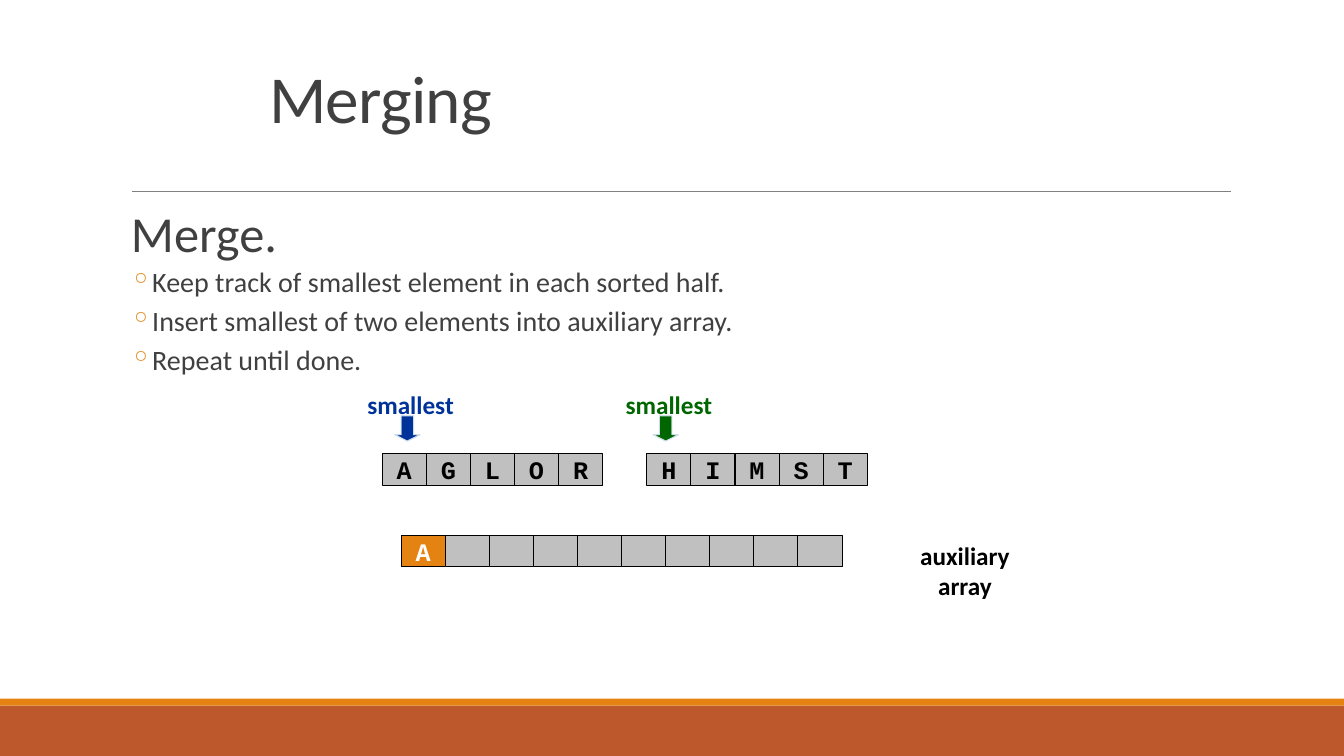
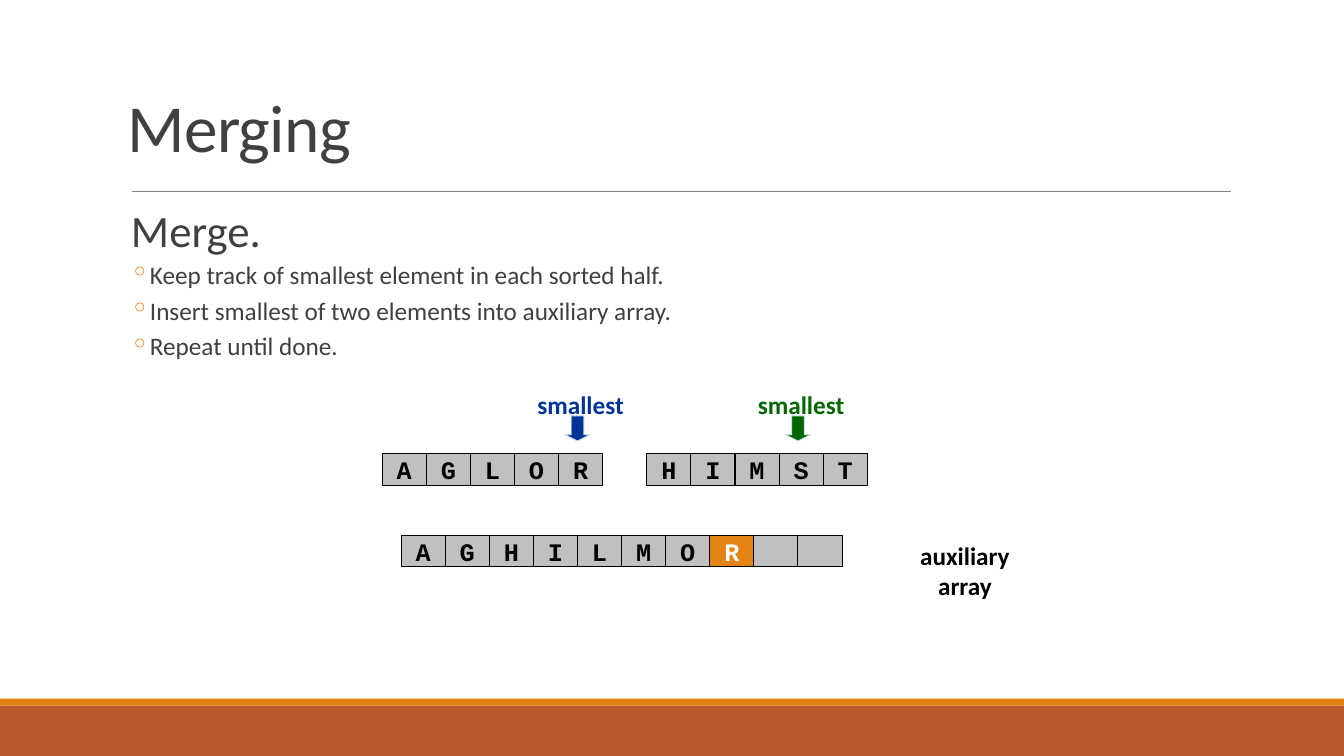
from dataclasses import dataclass

from lxml.etree import SubElement
from pptx import Presentation
from pptx.dml.color import RGBColor
from pptx.enum.shapes import MSO_CONNECTOR, MSO_SHAPE
from pptx.enum.text import MSO_ANCHOR, MSO_AUTO_SIZE, PP_ALIGN
from pptx.oxml.ns import qn
from pptx.util import Pt


@dataclass(frozen=True)
class Theme:
    text: str = "404040"
    black: str = "000000"
    white: str = "FFFFFF"
    accent: str = "E48312"
    band: str = "BD582C"
    rule: str = "808080"
    cell: str = "C0C0C0"
    arrow_edge: str = "CCDDEA"
    left: str = "003399"
    right: str = "006600"
    font: str = "Calibri"
    mono: str = "Courier New"
    title_size: int = 48
    label_size: int = 18


THEME = Theme()
CELL_W, CELL_H = 31.5, 22.5
STEPS = [
    "Keep track of smallest element in each sorted half.",
    "Insert smallest of two elements into auxiliary array.",
    "Repeat until done.",
]


def rgb(value):
    return RGBColor.from_string(value)


def write(p, text, size=THEME.label_size, color=THEME.text, font=THEME.font,
          bold=False, align=PP_ALIGN.LEFT, line=1.0, before=0, after=0,
          margin=0, hanging=0, bullet=None, spacing=0):
    p.alignment = align
    p.line_spacing = line
    p.space_before, p.space_after = Pt(before), Pt(after)
    pPr = p._p.get_or_add_pPr()
    pPr.set("marL", str(Pt(margin)))
    pPr.set("indent", str(-Pt(hanging)))
    if bullet:
        color_el = SubElement(pPr, qn("a:buClr"))
        SubElement(color_el, qn("a:srgbClr"), val=THEME.accent)
        SubElement(pPr, qn("a:buChar"), char=bullet)
    r = p.add_run()
    r.text = text
    r.font.name, r.font.size, r.font.bold = font, Pt(size), bold
    r.font.color.rgb = rgb(color)
    if spacing:
        r._r.get_or_add_rPr().set("spc", str(int(spacing * 100)))


class Deck:
    def __init__(self, theme):
        self.theme = theme
        self.prs = Presentation()
        self.prs.slide_width, self.prs.slide_height = Pt(960), Pt(540)
        self.s = None

    def slide(self, title, x, y):
        t = self.theme
        self.s = self.prs.slides.add_slide(self.prs.slide_layouts[5])
        self.shape(MSO_SHAPE.RECTANGLE, 0, 504, 960, 36, t.band)
        self.shape(MSO_SHAPE.RECTANGLE, 0, 499, 960, 5, t.accent)
        self.rule(94.5, 879, 136.8)
        sp = self.s.shapes.title
        sp.left, sp.top, sp.width, sp.height = Pt(x), Pt(y), Pt(486), Pt(67.5)
        tf = sp.text_frame
        tf.auto_size = MSO_AUTO_SIZE.NONE
        tf.vertical_anchor = MSO_ANCHOR.BOTTOM
        write(tf.paragraphs[0], title, size=t.title_size, line=0.85, spacing=-0.5)

    def rule(self, x1, x2, y):
        c = self.s.shapes.add_connector(MSO_CONNECTOR.STRAIGHT, Pt(x1), Pt(y), Pt(x2), Pt(y))
        c.line.color.rgb = rgb(self.theme.rule)
        c.line.width = Pt(0.5)
        SubElement(c._element.spPr, qn("a:effectLst"))

    def shape(self, kind, x, y, w, h, fill, line=None):
        sp = self.s.shapes.add_shape(kind, Pt(x), Pt(y), Pt(w), Pt(h))
        sp.shadow.inherit = False
        sp.fill.solid()
        sp.fill.fore_color.rgb = rgb(fill)
        if line:
            sp.line.color.rgb = rgb(line)
            sp.line.width = Pt(0.75)
        else:
            sp.line.fill.background()
        return sp

    def textbox(self, x, y, w, h):
        tf = self.s.shapes.add_textbox(Pt(x), Pt(y), Pt(w), Pt(h)).text_frame
        tf.word_wrap = True
        return tf

    def label(self, text, x, y, w, h, color):
        tf = self.textbox(x, y, w, h)
        write(tf.paragraphs[0], text, color=color, bold=True, align=PP_ALIGN.CENTER)

    def body(self, heading, items, heading_size, item_size):
        tf = self.textbox(86.4, 145.5, 792, 316.8)
        tf.margin_left = tf.margin_right = 0
        write(tf.paragraphs[0], heading, size=heading_size, line=0.9, after=2, margin=7.2)
        for item in items:
            p = tf.add_paragraph()
            p.level = 1
            write(p, item, size=item_size, line=0.9, before=2, after=4,
                  margin=20.16, hanging=13.68, bullet="◦")

    def pointer(self, x, color):
        self.label("smallest", x - 45, 274.5, 112.5, 28.8, color)
        sp = self.shape(MSO_SHAPE.DOWN_ARROW, x, 297, 18, 18, color, self.theme.arrow_edge)
        sp.adjustments[0], sp.adjustments[1] = 0.5, 0.25

    def array(self, letters, x, y, length, highlight=None):
        t = self.theme
        for i, letter in enumerate(letters.ljust(length)):
            active = i == highlight
            sp = self.shape(MSO_SHAPE.RECTANGLE, x + i * CELL_W, y, CELL_W, CELL_H,
                            t.accent if active else t.cell, t.black)
            if letter == " ":
                continue
            tf = sp.text_frame
            tf.word_wrap = False
            tf.vertical_anchor = MSO_ANCHOR.MIDDLE
            tf.margin_left = tf.margin_right = Pt(5.4)
            tf.margin_top = tf.margin_bottom = Pt(2.7)
            write(tf.paragraphs[0], letter, font=t.mono, bold=True,
                  color=t.white if active else t.black, align=PP_ALIGN.CENTER)

    def merge_step(self, title_at, sizes, pointers, merged):
        t = self.theme
        self.slide("Merging", *title_at)
        self.body("Merge.", STEPS, *sizes)
        for x, color in zip(pointers, (t.left, t.right)):
            self.pointer(x, color)
        self.array("AGLOR", 273, 324, 5)
        self.array("HIMST", 462, 324, 5)
        self.array(merged, 286.5, 382.5, 10, highlight=len(merged) - 1)
        self.label("auxiliary array", 637.5, 382.5, 103.5, 51, t.black)


def main():
    deck = Deck(THEME)
    deck.merge_step((185, 34), (36, 20), (282, 466.5), "A")
    deck.merge_step((84, 54.5), (32, 18), (403.5, 561), "AGHILMOR")
    deck.prs.save("out.pptx")


if __name__ == "__main__":
    main()
